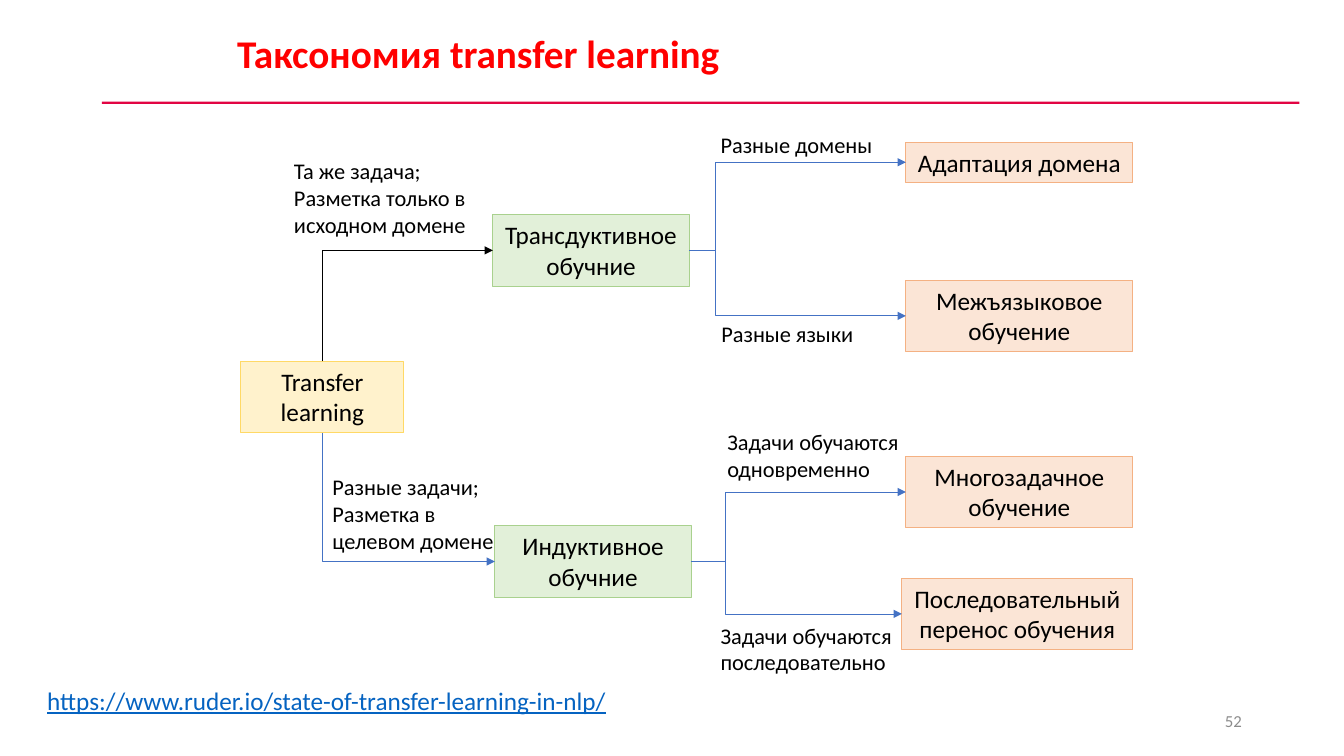
from lxml.etree import SubElement
from pptx import Presentation
from pptx.dml.color import RGBColor
from pptx.enum.shapes import MSO_CONNECTOR, MSO_SHAPE
from pptx.enum.text import MSO_ANCHOR, PP_ALIGN
from pptx.oxml.ns import qn
from pptx.util import Cm, Pt

BLACK, BLUE = "000000", "4472C4"
YELLOW, GREEN, ORANGE = ("FFF2CC", "FFD966"), ("E2F0D9", "A9D18E"), ("FBE5D6", "F4B183")


def rgb(value):
    return RGBColor.from_string(value)


def write(sp, lines, size, color=BLACK, align=PP_ALIGN.LEFT, anchor=MSO_ANCHOR.TOP,
          wrap=True, bold=False, underline=False):
    tf = sp.text_frame
    tf.word_wrap = wrap
    tf.vertical_anchor = anchor
    for i, line in enumerate(lines):
        p = tf.add_paragraph() if i else tf.paragraphs[0]
        p.alignment = align
        r = p.add_run()
        r.text = line
        f = r.font
        f.name, f.size, f.bold, f.underline = "Calibri", Pt(size), bold, underline
        f.color.rgb = rgb(color)


def add_text(s, x, y, w, h, lines, size, **style):
    sp = s.shapes.add_textbox(Cm(x), Cm(y), Cm(w), Cm(h))
    write(sp, lines, size, **style)


def add_rect(s, x, y, w, h, fill, line=None):
    sp = s.shapes.add_shape(MSO_SHAPE.RECTANGLE, Cm(x), Cm(y), Cm(w), Cm(h))
    sp.shadow.inherit = False
    sp.fill.solid()
    sp.fill.fore_color.rgb = rgb(fill)
    if line:
        sp.line.color.rgb = rgb(line)
        sp.line.width = Pt(0.75)
    else:
        sp.line.fill.background()
    return sp


def add_node(s, x, y, w, h, text, colors):
    sp = add_rect(s, x, y, w, h, *colors)
    write(sp, [text], 18, align=PP_ALIGN.CENTER)
    return sp


def add_elbow(s, x1, y1, x2, y2, color):
    c = s.shapes.add_connector(MSO_CONNECTOR.ELBOW, x1, y1, x2, y2)
    c.line.color.rgb = rgb(color)
    c.line.width = Pt(0.5)
    SubElement(c.line._get_or_add_ln(), qn("a:tailEnd"), type="triangle")
    SubElement(c._element.spPr, qn("a:effectLst"))
    return c


def add_corner(s, root, node, color):
    x1, x2 = root.left + root.width // 2, node.left
    y2 = node.top + node.height // 2
    up = y2 < root.top
    y1 = root.top if up else root.top + root.height
    cx, cy = (x1 + x2) // 2, (y1 + y2) // 2
    half_w = abs(y2 - y1) // 2
    half_h = (x2 - x1) // 2 * (1 if up else -1)
    c = add_elbow(s, cx + half_w, cy + half_h, cx - half_w, cy - half_h, color)
    c._element.spPr.find(qn("a:prstGeom")).set("prst", "bentConnector2")
    c._element.spPr.find(qn("a:xfrm")).set("rot", str((90 if up else 270) * 60000))


def add_branch(s, node, leaf, bend):
    c = add_elbow(s, 0, 0, 0, 0, BLUE)
    c.begin_connect(node, 3)
    c.end_connect(leaf, 1)
    share = (bend - c.begin_x) / (c.end_x - c.begin_x)
    geom = c._element.spPr.find(qn("a:prstGeom"))
    SubElement(geom.get_or_add_avLst(), qn("a:gd"), name="adj1", fmla=f"val {round(share * 100000)}")


def add_header(s, x, y, w):
    title = s.shapes.title
    title.left, title.top, title.width, title.height = Cm(x + 3.15), Cm(y), Cm(w - 2.97), Cm(1.45)
    write(title, ["Таксономия transfer learning"], 28, color="FF0000", bold=True)
    add_rect(s, x, y + 1.95, w, 0.06, "E20443")


def add_taxonomy(s, x, y):
    root = add_node(s, x, y + 5.94, 4.11, 1.8, "Transfer learning", YELLOW)
    groups = [
        (6.35, 2.24, "Трансдуктивное обучние", BLACK, 11.96, [
            (16.76, 0.41, 5.72, 1.02, "Адаптация домена"),
            (16.76, 3.89, 5.72, 1.8, "Межъязыковое обучение")]),
        (6.4, 10.08, "Индуктивное обучние", BLUE, 12.22, [
            (16.76, 8.33, 5.72, 1.8, "Многозадачное обучение"),
            (16.66, 11.4, 5.82, 1.8, "Последовательный перенос обучения")]),
    ]
    for nx, ny, text, color, bend, leaves in groups:
        node = add_node(s, x + nx, y + ny, 4.95, 1.8, text, GREEN)
        add_corner(s, root, node, color)
        for lx, ly, w, h, leaf_text in leaves:
            leaf = add_node(s, x + lx, y + ly, w, h, leaf_text, ORANGE)
            add_branch(s, node, leaf, Cm(x + bend))
    labels = [
        (11.84, 0, 4.37, 0.94, ["Разные домены"]),
        (11.86, 4.78, 3.89, 0.94, ["Разные языки"]),
        (12.01, 7.49, 5.13, 1.63, ["Задачи обучаются одновременно"]),
        (11.84, 12.37, 5.13, 1.63, ["Задачи обучаются последовательно"]),
        (1.09, 0.66, 4.95, 2.31, ["Та же задача;", "Разметка только в исходном домене"]),
        (2.06, 8.64, 4.95, 2.31, ["Разные задачи;", "Разметка в целевом домене"]),
    ]
    for lx, ly, w, h, lines in labels:
        add_text(s, x + lx, y + ly, w, h, lines, 16)


def add_footer(s, x, y):
    add_text(s, x, y, 14.94, 1.02, ["https://www.ruder.io/state-of-transfer-learning-in-nlp/"], 18,
             color="0563C1", underline=True, wrap=False)
    add_text(s, x + 22.99, y + 0.51, 7.62, 1.02, ["52"], 12, color="8C8C8C",
             align=PP_ALIGN.RIGHT, anchor=MSO_ANCHOR.MIDDLE)


def main():
    prs = Presentation()
    prs.slide_width, prs.slide_height = Cm(33.87), Cm(19.05)
    s = prs.slides.add_slide(prs.slide_layouts[5])
    add_header(s, 2.57, 0.61, 30.18)
    add_taxonomy(s, 6.07, 3.17)
    add_footer(s, 0.94, 17.14)
    prs.save("out.pptx")


if __name__ == "__main__":
    main()
